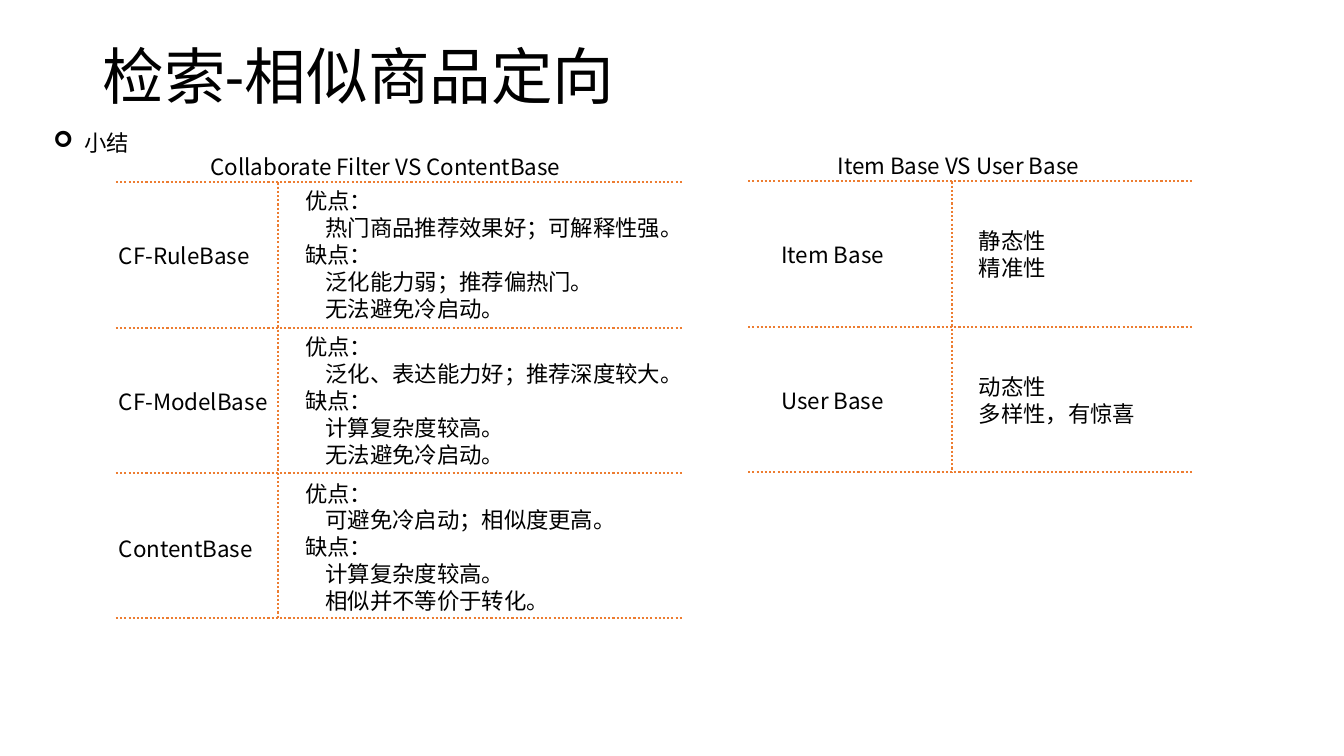
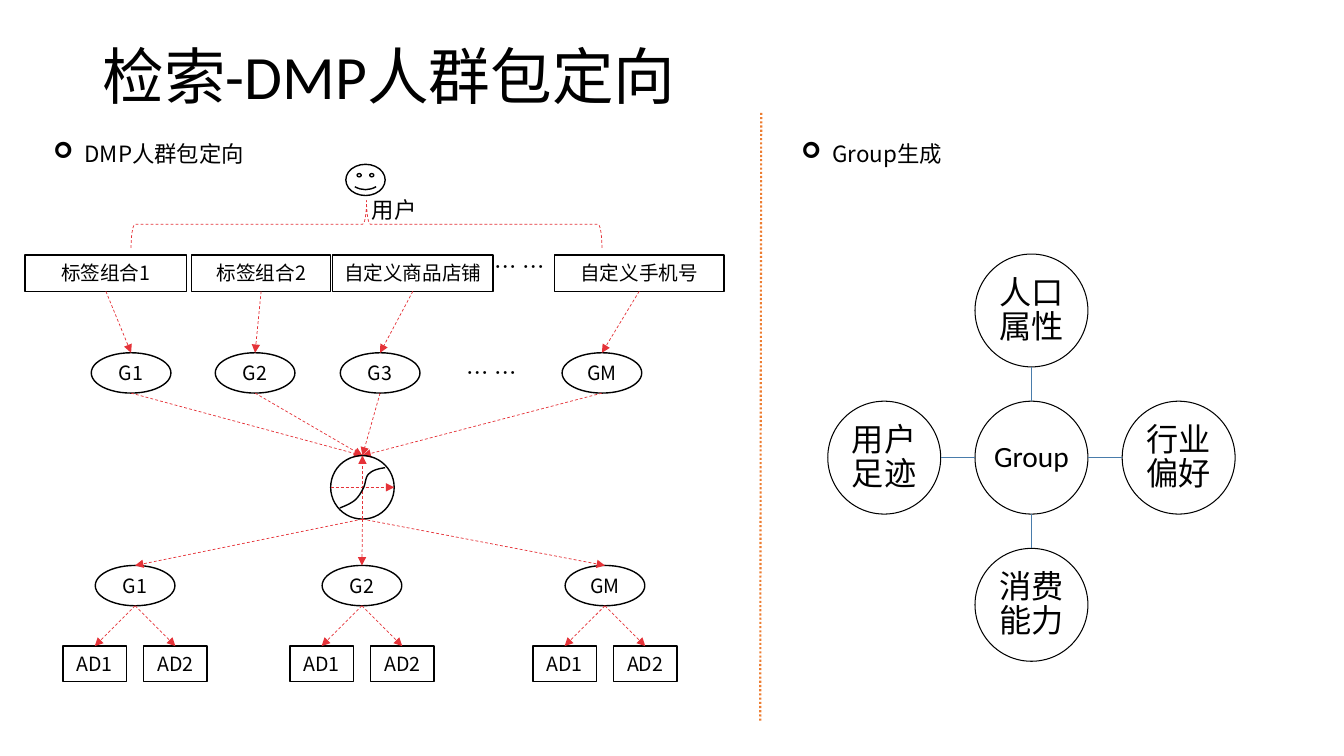
from lxml import etree
from pptx import Presentation
from pptx.dml.color import RGBColor
from pptx.enum.dml import MSO_LINE_DASH_STYLE as DASH
from pptx.enum.shapes import MSO_CONNECTOR, MSO_SHAPE
from pptx.enum.text import MSO_ANCHOR as ANCHOR, PP_ALIGN as ALIGN
from pptx.oxml.ns import qn
from pptx.util import Inches, Pt

BLACK = RGBColor(0x00, 0x00, 0x00)
ORANGE = RGBColor(0xED, 0x7D, 0x31)
RED = RGBColor(0xE5, 0x32, 0x38)
BLUE = RGBColor(0x49, 0x7C, 0xAB)
CJK = "Noto Sans CJK SC"
LATIN = "Calibri"
LEADING = 1.2
INDENT = 0.31
RULE_GAP = 1.44
ROW_H = 1.45
LINE_H = 0.27
GROUP_W, GROUP_H = 0.79, 0.4
AD_W, AD_H = 0.63, 0.35


def write(tf, lines, size=16, font=CJK, align=ALIGN.LEFT, leading=LEADING):
    tf.word_wrap = True
    for i, line in enumerate(lines):
        p = tf.paragraphs[0] if i == 0 else tf.add_paragraph()
        p.alignment = align
        p.line_spacing = Pt(round(size * leading, 1))
        r = p.add_run()
        r.text = line
        r.font.size = Pt(size)
        r.font.name = font
        r.font.color.rgb = BLACK
        etree.SubElement(r.font._element, qn("a:ea"), typeface=CJK)


def add_text(slide, box, *lines, **style):
    sp = slide.shapes.add_textbox(*map(Inches, box))
    write(sp.text_frame, lines, **style)
    return sp


def set_indent(p, left, first):
    pPr = p._p.get_or_add_pPr()
    pPr.set("marL", str(Inches(left)))
    pPr.set("indent", str(Inches(first)))
    return pPr


def add_title(slide, text):
    add_text(slide, (0.92, 0.4, 11.5, 1.45), text, size=44, font=LATIN, leading=1.08)


def add_bullet(slide, box, text):
    sp = add_text(slide, box, text)
    pPr = set_indent(sp.text_frame.paragraphs[0], INDENT, -INDENT)
    etree.SubElement(pPr, qn("a:buFont"), typeface="Wingdings")
    etree.SubElement(pPr, qn("a:buChar"), char="➢")


def add_outline(slide, kind, box, color=BLACK, width=1):
    sp = slide.shapes.add_shape(kind, *map(Inches, box))
    sp.shadow.inherit = False
    sp.fill.background()
    sp.line.color.rgb = color
    sp.line.width = Pt(width)
    return sp


def add_node(slide, kind, box, text, inset=0, width=1, **style):
    sp = add_outline(slide, kind, box, width=width)
    tf = sp.text_frame
    tf.vertical_anchor = ANCHOR.MIDDLE
    tf.margin_left = tf.margin_right = Inches(inset)
    tf.margin_top = tf.margin_bottom = Inches(inset)
    write(tf, [text], align=ALIGN.CENTER, **{"size": 14, **style})
    return sp


def add_line(slide, start, end, color, width, dash=None):
    line = slide.shapes.add_connector(
        MSO_CONNECTOR.STRAIGHT, *map(Inches, (*start, *end)))
    line.line.color.rgb = color
    line.line.width = Pt(width)
    if dash:
        line.line.dash_style = dash
    etree.SubElement(line._element.spPr, qn("a:effectLst"))
    return line


def add_rule(slide, start, end):
    add_line(slide, start, end, ORANGE, 1.5, DASH.ROUND_DOT)


def add_arrow(slide, start, end):
    line = add_line(slide, start, end, RED, 0.5, DASH.DASH)
    etree.SubElement(line.line._get_or_add_ln(), qn("a:tailEnd"), type="triangle")


def comparison(slide, box, divider, label_dx, detail_w, heading_dx, heading, rows):
    x, y, w = box
    add_text(slide, (x + heading_dx, y - 0.34, 3.93, 0.37), heading, align=ALIGN.CENTER)
    for i in range(len(rows) + 1):
        rule_y = y + i * RULE_GAP
        add_rule(slide, (x, rule_y), (x + w, rule_y))
    add_rule(slide, (x + divider, y), (x + divider, y + len(rows) * RULE_GAP))
    for i, (label, lines) in enumerate(rows):
        cy = y + (i + 0.5) * ROW_H
        add_text(slide, (x + label_dx, cy - 0.18, 2.02, 0.37), label)
        detail_h = 0.1 + LINE_H * len(lines)
        sp = add_text(slide, (x + divider + 0.17, cy - detail_h / 2, detail_w, detail_h), *lines)
        if "优点：" in lines:
            for p in sp.text_frame.paragraphs:
                if not p.text.endswith("："):
                    set_indent(p, 0.2, 0)


def summary_slide(slide):
    add_title(slide, "检索-相似商品定向")
    add_bullet(slide, (0.43, 1.23, 10.72, 0.37), "小结")
    comparison(slide, (1.15, 1.81, 5.63), 1.61, -0.07, 3.86, 0.71,
               "Collaborate Filter VS ContentBase", [
                   ("CF-RuleBase", ["优点：", "热门商品推荐效果好；可解释性强。", "缺点：",
                                    "泛化能力弱；推荐偏热门。", "无法避免冷启动。"]),
                   ("CF-ModelBase", ["优点：", "泛化、表达能力好；推荐深度较大。", "缺点：",
                                     "计算复杂度较高。", "无法避免冷启动。"]),
                   ("ContentBase", ["优点：", "可避免冷启动；相似度更高。", "缺点：",
                                    "计算复杂度较高。", "相似并不等价于转化。"])])
    comparison(slide, (7.42, 1.8, 4.41), 2.02, 0.23, 3.24, 0.12,
               "Item Base VS User Base", [
                   ("Item Base", ["静态性", "精准性"]),
                   ("User Base", ["动态性", "多样性，有惊喜"])])


def add_group(slide, cx, y, text):
    add_node(slide, MSO_SHAPE.OVAL, (cx - GROUP_W / 2, y, GROUP_W, GROUP_H), text)


def bezier(a, b, c, d, steps=10):
    for i in range(1, steps + 1):
        t = i / steps
        u = 1 - t
        yield tuple(u**3 * m + 3 * u * u * t * n + 3 * u * t * t * o + t**3 * q
                    for m, n, o, q in zip(a, b, c, d))


def ranking_model(slide, x, y, d):
    add_outline(slide, MSO_SHAPE.OVAL, (x, y, d, d))
    add_arrow(slide, (x, y + d / 2), (x + d, y + d / 2))
    add_arrow(slide, (x + d / 2, y + d), (x + d / 2, y))
    knots = [(0.54, 0.12), (0.48, 0.13), (0.42, 0.14), (0.38, 0.18),
             (0.34, 0.21), (0.35, 0.28), (0.32, 0.33), (0.3, 0.37),
             (0.27, 0.42), (0.23, 0.45), (0.19, 0.48), (0.14, 0.5), (0.09, 0.52)]
    points = [pt for i in range(0, len(knots) - 1, 3) for pt in bezier(*knots[i:i + 4])]
    start, *rest = [(Inches(x + px), Inches(y + py)) for px, py in [knots[0], *points]]
    builder = slide.shapes.build_freeform(*start)
    builder.add_line_segments(rest, close=False)
    curve = builder.convert_to_shape()
    curve.shadow.inherit = False
    curve.fill.background()
    curve.line.color.rgb = BLACK
    curve.line.width = Pt(1)


def ad_tree(slide, cx, y, text):
    add_group(slide, cx, y, text)
    ad_y = y + 2 * GROUP_H
    for side, ad in ((-1, "AD1"), (1, "AD2")):
        ad_cx = cx + side * 0.4
        add_node(slide, MSO_SHAPE.RECTANGLE, (ad_cx - AD_W / 2, ad_y, AD_W, AD_H), ad)
        add_arrow(slide, (cx, y + GROUP_H), (ad_cx, ad_y))


def targeting_flow(slide, x, y):
    tag_y, group_y, model_y, tree_y = y + 1.19, y + 2.16, y + 3.18, y + 4.27
    tag_h, model_d = 0.36, 0.63
    model_x = x + 3.03
    model_cx = model_x + model_d / 2
    add_outline(slide, MSO_SHAPE.SMILEY_FACE, (x + 3.18, y + 0.29, 0.39, 0.31))
    add_text(slide, (x + 3.34, y + 0.56, 1.15, 0.37), "用户")
    brace = add_outline(slide, MSO_SHAPE.LEFT_BRACE, (x + 3.15, y - 1.45, 0.47, 4.67), RED, 0.5)
    brace.line.dash_style = DASH.DASH
    brace.rotation = 90
    for tag_x, tag_w, tag, group_cx, group in (
            (0, 1.6, "标签组合1", 1.05, "G1"),
            (1.65, 1.38, "标签组合2", 2.28, "G2"),
            (3.05, 1.59, "自定义商品店铺", 3.52, "G3"),
            (5.25, 1.68, "自定义手机号", 5.72, "GM")):
        cx = x + group_cx
        add_node(slide, MSO_SHAPE.RECTANGLE, (x + tag_x, tag_y, tag_w, tag_h), tag)
        add_group(slide, cx, group_y, group)
        add_arrow(slide, (x + tag_x + tag_w / 2, tag_y + tag_h), (cx, group_y))
        add_arrow(slide, (cx, group_y + GROUP_H), (model_cx, model_y))
    for dots_x, dots_y in ((4.46, 1.12), (4.18, 2.17)):
        add_text(slide, (x + dots_x, y + dots_y, 0.89, 0.37), "… …", align=ALIGN.CENTER)
    ranking_model(slide, model_x, model_y, model_d)
    for tree_cx, group in ((1.09, "G1"), (3.34, "G2"), (5.75, "GM")):
        ad_tree(slide, x + tree_cx, tree_y, group)
        add_arrow(slide, (model_cx, model_y + model_d), (x + tree_cx, tree_y))


def group_wheel(slide, x, y, size):
    d = 1.12
    radius = d / 2
    pitch = (size - d) / 2
    cx, cy = x + size / 2, y + size / 2

    def add_circle(mx, my, text, font_size):
        add_node(slide, MSO_SHAPE.OVAL, (mx - radius, my - radius, d, d), text,
                 inset=0.02, width=0.75, size=font_size, font=LATIN, leading=1.06)

    add_circle(cx, cy, "Group", 21)
    for dx, dy, text in ((0, -1, "人口属性"), (1, 0, "行业偏好"),
                         (0, 1, "消费能力"), (-1, 0, "用户足迹")):
        add_circle(cx + dx * pitch, cy + dy * pitch, text, 23)
        near, far = radius, pitch - radius
        add_line(slide, (cx + dx * near, cy + dy * near),
                 (cx + dx * far, cy + dy * far), BLUE, 0.5)


def audience_slide(slide):
    add_title(slide, "检索-DMP人群包定向")
    add_bullet(slide, (0.43, 1.34, 6.75, 0.37), "DMP人群包定向")
    targeting_flow(slide, 0.25, 1.34)
    add_rule(slide, (7.55, 1.12), (7.54, 7.15))
    add_bullet(slide, (7.85, 1.34, 1.64, 0.64), "Group生成")
    group_wheel(slide, 8.21, 2.52, 4.04)


def main():
    prs = Presentation()
    prs.slide_width, prs.slide_height = Inches(13.33), Inches(7.5)
    for build in (summary_slide, audience_slide):
        build(prs.slides.add_slide(prs.slide_layouts[6]))
    prs.save("out.pptx")


if __name__ == "__main__":
    main()
